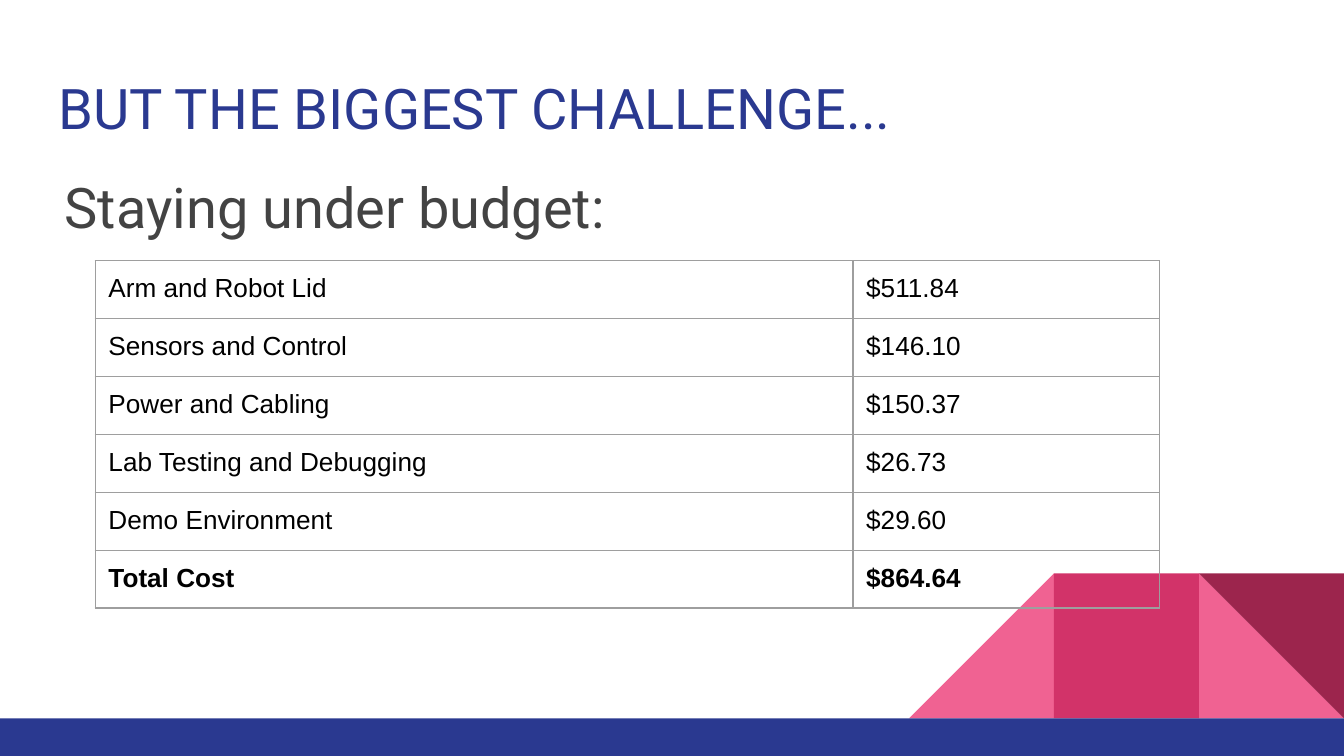
import pptx
import pptx.util
import pptx.dml.color
import pptx.enum.shapes
import pptx.oxml
import pptx.oxml.ns
from dataclasses import dataclass

Cm = pptx.util.Cm
Pt = pptx.util.Pt
Kind = pptx.enum.shapes.MSO_SHAPE


@dataclass(frozen=True)
class Theme:
    navy: str = "2A3990"
    pink: str = "F06292"
    rose: str = "D23369"
    wine: str = "9C254D"
    gray: str = "434343"
    black: str = "000000"
    rule: str = "9E9E9E"
    head: int = 30
    cell: int = 14


theme = Theme()


def paint(color):
    return pptx.dml.color.RGBColor.from_string(color)


def write(frame, text, size, color, face="Roboto", bold=False, space=1.0):
    frame.word_wrap = True
    para = frame.paragraphs[0]
    para.line_spacing = space
    run = para.add_run()
    run.text = text
    run.font.name = face
    run.font.size = Pt(size)
    run.font.bold = bold
    run.font.color.rgb = paint(color)


deck = pptx.Presentation()
deck.slide_width = Cm(25.4)
deck.slide_height = Cm(14.29)
slide = deck.slides.add_slide(deck.slide_layouts[6])

side = 2.74
floor = 13.58
top = floor - side
right = 25.4 - side
parts = [
    (Kind.RIGHT_TRIANGLE, right, top, side, side, theme.pink, 0, False),
    (Kind.RIGHT_TRIANGLE, right - 2 * side, top, side, side, theme.pink, 0, True),
    (Kind.RECTANGLE, right - side, top, side, side, theme.rose, 0, False),
    (Kind.RIGHT_TRIANGLE, right, top, side, side, theme.wine, 180, False),
    (Kind.RECTANGLE, 0, floor, 25.4, 14.29 - floor, theme.navy, 0, False),
]
for kind, x, y, wide, high, color, turn, flip in parts:
    shape = slide.shapes.add_shape(kind, Cm(x), Cm(y), Cm(wide), Cm(high))
    shape.shadow.inherit = False
    shape.fill.solid()
    shape.fill.fore_color.rgb = paint(color)
    shape.line.fill.background()
    shape.rotation = turn
    if flip:
        shape._element.spPr.xfrm.set("flipH", "1")

heads = [
    ("BUT THE BIGGEST CHALLENGE...", 0.86, 1.14, 1.68, theme.navy, 1.0),
    ("Staying under budget:", 0.97, 2.82, 1.85, theme.gray, 1.15),
]
for text, x, y, high, color, space in heads:
    frame = slide.shapes.add_textbox(Cm(x), Cm(y), Cm(23.67), Cm(high)).text_frame
    frame.margin_left = frame.margin_right = Cm(0.25)
    frame.margin_top = frame.margin_bottom = Cm(0.25)
    write(frame, text, theme.head, color, space=space)

costs = [
    ("Arm and Robot Lid", "$511.84"),
    ("Sensors and Control", "$146.10"),
    ("Power and Cabling", "$150.37"),
    ("Lab Testing and Debugging", "$26.73"),
    ("Demo Environment", "$29.60"),
    ("Total Cost", "$864.64"),
]
wides = [14.32, 5.8]
tall = 1.06
frame = slide.shapes.add_table(
    len(costs), len(wides), Cm(1.8), Cm(4.93), Cm(sum(wides)), Cm(tall * len(costs))
)
table = frame.table
table.first_row = False
table.horz_banding = False
for col, wide in zip(table.columns, wides):
    col.width = Cm(wide)

space = pptx.oxml.ns.nsdecls("a")
for i, pair in enumerate(costs):
    table.rows[i].height = Cm(tall)
    for j, text in enumerate(pair):
        cell = table.cell(i, j)
        cell.margin_left = cell.margin_right = Cm(0.25)
        cell.margin_top = cell.margin_bottom = Cm(0.25)
        write(cell.text_frame, text, theme.cell, theme.black,
              face="Arial", bold=i == len(costs) - 1)
        props = cell._tc.get_or_add_tcPr()
        for edge in "LRTB":
            props.append(pptx.oxml.parse_xml(
                f'<a:ln{edge} {space} w="{Pt(0.75)}"><a:solidFill>'
                f'<a:srgbClr val="{theme.rule}"/></a:solidFill></a:ln{edge}>'
            ))
        cell.fill.background()

deck.save("out.pptx")
